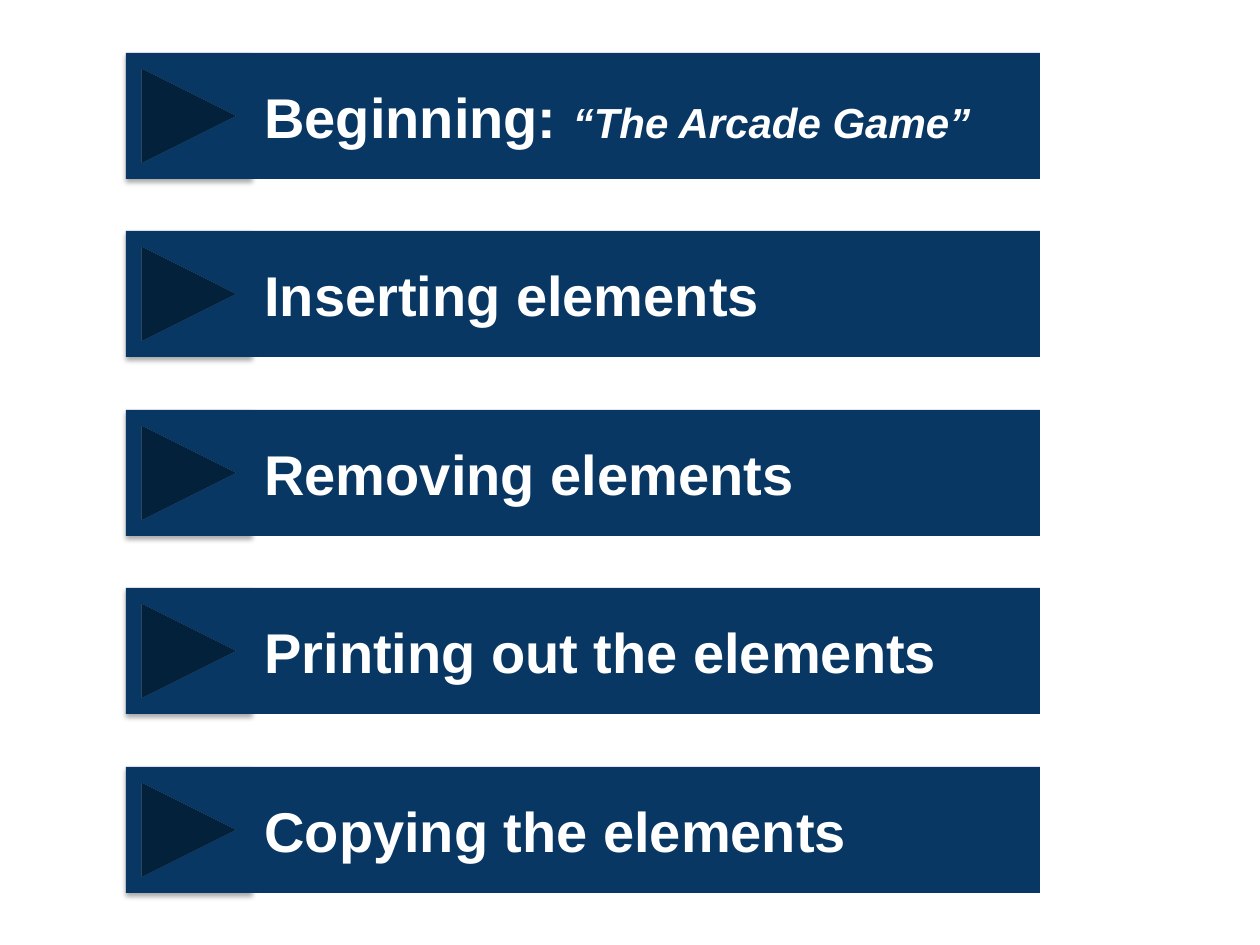
import pptx
import pptx.dml.color
import pptx.enum.shapes
import pptx.enum.text
import pptx.oxml
import pptx.oxml.ns
import pptx.util

EMU_PER_PIXEL = 914400 // 126
SLIDE_WIDTH, SLIDE_HEIGHT = 1260, 945
LEFT, FIRST_TOP, LAST_TOP = 126, 53, 767
BUTTON_SIZE, BAR_WIDTH = 126, 788
FONT = "Arial"
COLORS = {"navy": "083763", "text": "FFFFFF", "shadow": "000000"}
HEADING, SUBTITLE = (32, False), (24, True)
TOPICS = [
    [("Beginning: ", HEADING), ("“The Arcade Game”", SUBTITLE)],
    [("Inserting elements", HEADING)],
    [("Removing elements", HEADING)],
    [("Printing out the elements", HEADING)],
    [("Copying the elements", HEADING)],
]


def px(pixels):
    """Turn pixels into EMU."""
    return pptx.util.Emu(pixels * EMU_PER_PIXEL)


def rgb(name):
    """Look up a colour by name."""
    return pptx.dml.color.RGBColor.from_string(COLORS[name])


def add_block(slide, preset, left, top, width, height):
    """Add a flat navy shape without an outline."""
    block = slide.shapes.add_shape(preset, px(left), px(top), px(width), px(height))
    block.shadow.inherit = False
    block.fill.solid()
    block.fill.fore_color.rgb = rgb("navy")
    block.line.fill.background()
    return block


def add_shadow(block):
    """Give a block a soft shadow that falls straight down."""
    effects = block._element.spPr.find(pptx.oxml.ns.qn("a:effectLst"))
    effects.append(pptx.oxml.parse_xml(
        f'<a:outerShdw {pptx.oxml.ns.nsdecls("a")} blurRad="{pptx.util.Pt(3.1)}" '
        f'dist="{pptx.util.Pt(1.8)}" dir="5400000" rotWithShape="0">'
        f'<a:srgbClr val="{COLORS["shadow"]}"><a:alpha val="35000"/></a:srgbClr>'
        '</a:outerShdw>'))


def add_button(slide, top):
    """Add the forward button at the start of a topic."""
    preset = pptx.enum.shapes.MSO_SHAPE.ACTION_BUTTON_FORWARD_OR_NEXT
    add_shadow(add_block(slide, preset, LEFT, top, BUTTON_SIZE, BUTTON_SIZE))


def add_bar(slide, top, topic):
    """Add the bar that carries the wording of a topic."""
    bar = add_block(slide, pptx.enum.shapes.MSO_SHAPE.RECTANGLE,
                    LEFT + BUTTON_SIZE, top, BAR_WIDTH, BUTTON_SIZE)
    frame = bar.text_frame
    frame.word_wrap = True
    frame.vertical_anchor = pptx.enum.text.MSO_ANCHOR.MIDDLE
    line = frame.paragraphs[0]
    line.alignment = pptx.enum.text.PP_ALIGN.LEFT
    for words, (size, italic) in topic:
        run = line.add_run()
        run.text = words
        run.font.name = FONT
        run.font.size = pptx.util.Pt(size)
        run.font.bold = True
        run.font.italic = italic
        run.font.color.rgb = rgb("text")


def main():
    """Build the list of topics and save it."""
    deck = pptx.Presentation()
    deck.slide_width, deck.slide_height = px(SLIDE_WIDTH), px(SLIDE_HEIGHT)
    slide = deck.slides.add_slide(deck.slide_layouts[6])
    for index, topic in enumerate(TOPICS):
        top = FIRST_TOP + (LAST_TOP - FIRST_TOP) * index // (len(TOPICS) - 1)
        add_button(slide, top)
        add_bar(slide, top, topic)
    deck.save("out.pptx")


main()
